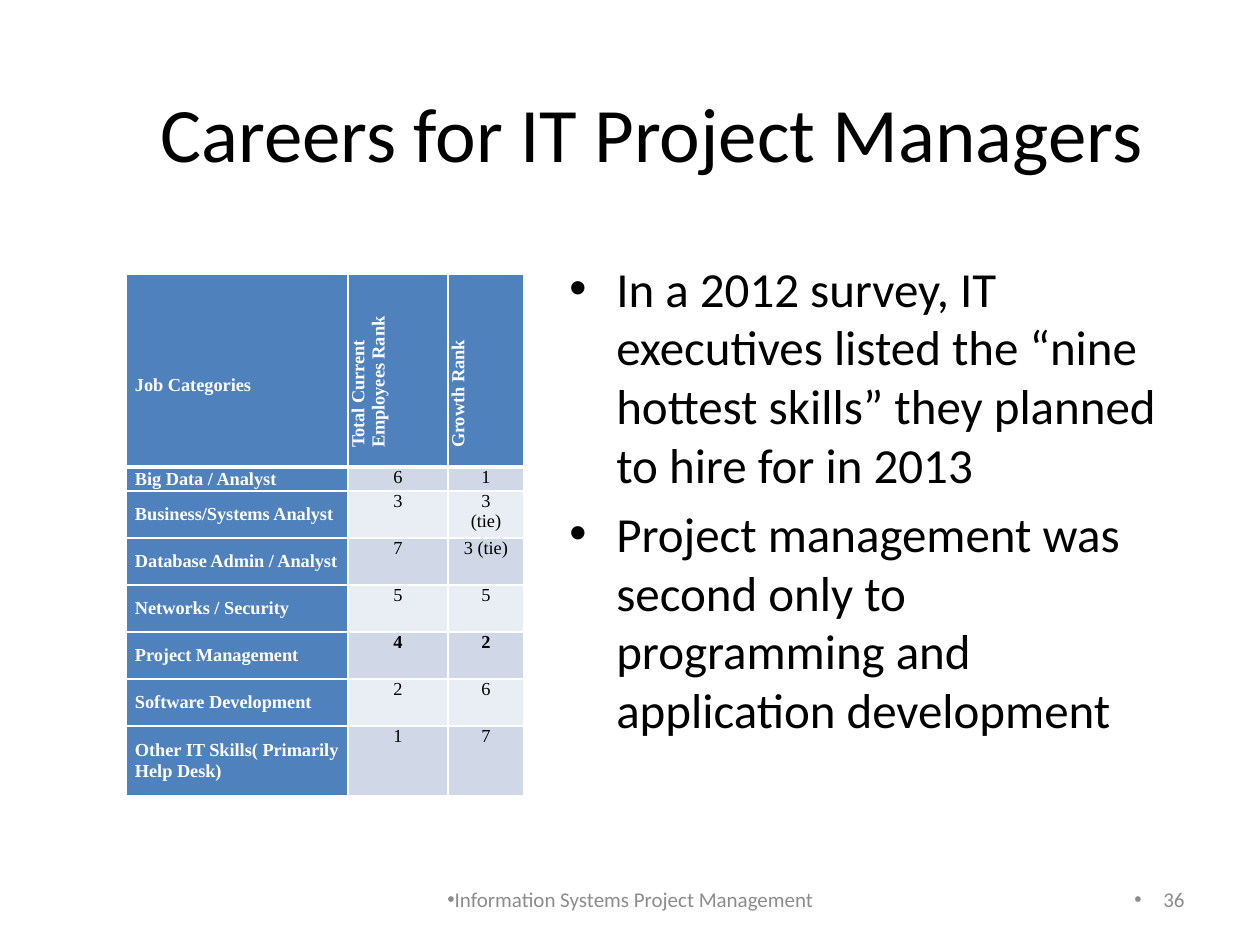
from lxml import etree
from pptx import Presentation
from pptx.dml.color import RGBColor
from pptx.enum.text import MSO_ANCHOR, PP_ALIGN
from pptx.oxml.ns import qn
from pptx.util import Emu, Pt

LEFT, CENTER, RIGHT = PP_ALIGN.LEFT, PP_ALIGN.CENTER, PP_ALIGN.RIGHT
TOP, MIDDLE = MSO_ANCHOR.TOP, MSO_ANCHOR.MIDDLE
PX_PER_INCH = 126
BLACK, WHITE, GREY = "000000", "FFFFFF", "8C8C8C"
HEADER_BLUE = "4F81BD"
BANDS = ("D0D8E8", "E9EDF4")

COLUMN_WIDTHS = (222, 100, 76)
ROW_HEIGHTS = (193, 24, 47, 47, 47, 47, 47, 70)
HEADINGS = ("Job Categories", "Total Current \nEmployees Rank", "Growth Rank")
RANKINGS = (
    ("Big Data / Analyst", "6", "1"),
    ("Business/Systems Analyst", "3", "3\n(tie)"),
    ("Database Admin / Analyst", "7", "3 (tie)"),
    ("Networks / Security", "5", "5"),
    ("Project Management", "4", "2"),
    ("Software Development", "2", "6"),
    ("Other IT Skills( Primarily Help Desk)", "1", "7"),
)
HIGHLIGHTED = "Project Management"
SURVEY_POINTS = (
    "In a 2012 survey, IT executives listed the “nine hottest skills” "
    "they planned to hire for in 2013",
    "Project management was second only to programming and application development",
)


def px(length):
    return Emu(round(length * 914400 / PX_PER_INCH))


def color(value):
    return RGBColor.from_string(value)


def write(paragraph, text, size, font="Calibri", ink=BLACK, bold=False,
          align=LEFT, bullet=False, margin=0, hanging=0, line_spacing=None):
    # A line break inside the text becomes a soft break.
    paragraph.text = text.replace("\n", "\v")
    paragraph.alignment = align
    if line_spacing:
        paragraph.line_spacing = line_spacing
    for run in paragraph.runs:
        run.font.size = Pt(size)
        run.font.name = font
        run.font.bold = bold
        run.font.color.rgb = color(ink)
    properties = paragraph._p.get_or_add_pPr()
    properties.set("marL", str(px(margin)))
    properties.set("indent", str(px(-hanging)))
    if bullet:
        paragraph.space_before = Pt(size * 0.2)
        etree.SubElement(properties, qn("a:buFont")).set("typeface", "Arial")
        etree.SubElement(properties, qn("a:buChar")).set("char", "•")


def add_text(slide, box, texts, anchor=TOP, **style):
    frame = slide.shapes.add_textbox(*map(px, box)).text_frame
    frame.word_wrap = True
    frame.vertical_anchor = anchor
    for index, text in enumerate(texts):
        paragraph = frame.add_paragraph() if index else frame.paragraphs[0]
        write(paragraph, text, **style)


def add_borders(cell, bottom=1):
    properties = cell._tc.get_or_add_tcPr()
    for side, width in (("L", 1), ("R", 1), ("T", 1), ("B", bottom)):
        line = etree.SubElement(properties, qn(f"a:ln{side}"), w=str(Pt(width)))
        fill = etree.SubElement(line, qn("a:solidFill"))
        etree.SubElement(fill, qn("a:srgbClr"), val=WHITE)


def fill_cell(cell, text, fill, anchor=TOP, top=0, bottom_border=1,
              rotated=False, **style):
    cell.margin_left = cell.margin_right = px(9)
    cell.margin_top, cell.margin_bottom = px(top), 0
    cell.vertical_anchor = anchor
    add_borders(cell, bottom_border)
    cell.fill.solid()
    cell.fill.fore_color.rgb = color(fill)
    if rotated:
        cell._tc.get_or_add_tcPr().set("vert", "vert270")
    write(cell.text_frame.paragraphs[0], text, 10.5, "Times New Roman", **style)


def add_rank_table(slide, left, top):
    table = slide.shapes.add_table(
        len(ROW_HEIGHTS), len(COLUMN_WIDTHS), px(left), px(top),
        px(sum(COLUMN_WIDTHS)), px(sum(ROW_HEIGHTS))).table
    for column, width in zip(table.columns, COLUMN_WIDTHS):
        column.width = px(width)
    for row, height in zip(table.rows, ROW_HEIGHTS):
        row.height = px(height)

    heading = dict(fill=HEADER_BLUE, ink=WHITE, bold=True)
    fill_cell(table.cell(0, 0), HEADINGS[0], top=101, bottom_border=3, **heading)
    for column in (1, 2):
        fill_cell(table.cell(0, column), HEADINGS[column], anchor=MIDDLE,
                  bottom_border=3, rotated=True, margin=10, **heading)
    for row, (category, *ranks) in enumerate(RANKINGS, start=1):
        fill_cell(table.cell(row, 0), category, anchor=MIDDLE, **heading)
        for column, rank in enumerate(ranks, start=1):
            fill_cell(table.cell(row, column), rank, BANDS[(row - 1) % 2],
                      align=CENTER, bold=category == HIGHLIGHTED)


def main():
    deck = Presentation()
    deck.slide_width, deck.slide_height = px(1260), px(945)
    slide = deck.slides.add_slide(deck.slide_layouts[6])

    add_text(slide, (126, 43, 1052, 178), ["Careers for IT Project Managers"],
             anchor=MIDDLE, size=44, align=CENTER)
    add_text(slide, (557, 252, 640, 592), SURVEY_POINTS,
             size=28, bullet=True, margin=47, hanging=47)
    add_rank_table(slide, 126, 274)

    footer = dict(anchor=MIDDLE, size=12, ink=GREY, bullet=True, line_spacing=0.9)
    add_text(slide, (431, 876, 399, 50), ["Information Systems Project Management"],
             align=CENTER, **footer)
    add_text(slide, (903, 876, 294, 50), ["36"],
             align=RIGHT, margin=29, hanging=29, **footer)

    deck.save("out.pptx")


if __name__ == "__main__":
    main()
